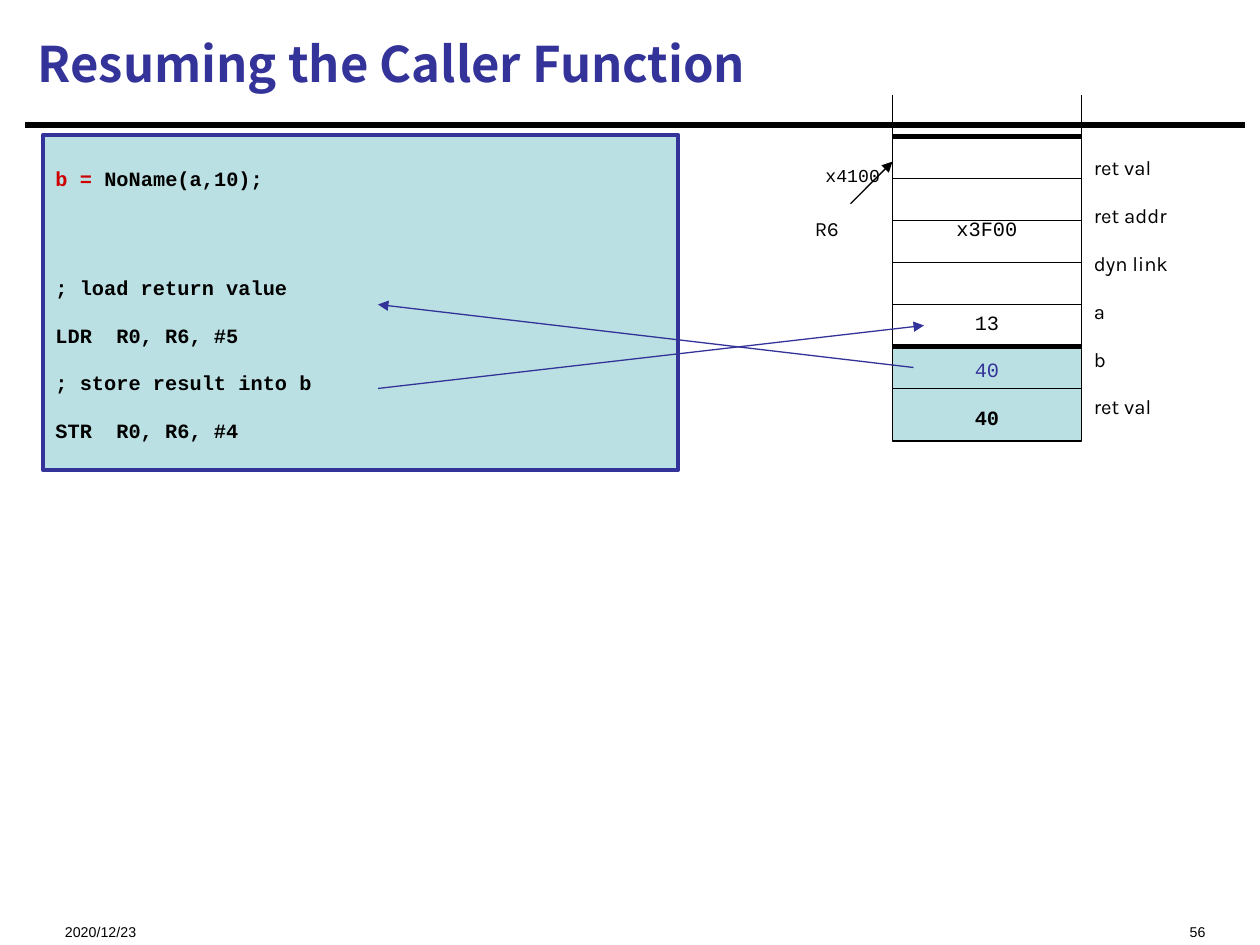
"""Build the slide on resuming the caller function after a call."""
from pptx import Presentation
from pptx.dml.color import RGBColor
from pptx.enum.shapes import MSO_CONNECTOR, MSO_SHAPE
from pptx.enum.text import MSO_ANCHOR, PP_ALIGN
from pptx.oxml.ns import qn
from pptx.util import Inches, Pt
from lxml.etree import SubElement

THEME = {
    "black": RGBColor(0, 0, 0), "blue": RGBColor(0x33, 0x33, 0x99),
    "red": RGBColor(0xCE, 0, 0), "pale": RGBColor(0xBB, 0xE0, 0xE3),
    "code": "Courier New", "label": "Karla", "footer": "Arial", "title": "Noto Sans CJK SC",
    "title size": 28, "text size": 20, "address size": 18, "footer size": 14,
    "baseline": "-25000",
}
BLACK, BLUE, RED = THEME["black"], THEME["blue"], THEME["red"]
COLUMNS = 120

presentation = Presentation()
presentation.slide_width, presentation.slide_height = Inches(10), Inches(7.5)
CELL = presentation.slide_width / COLUMNS
slide = presentation.slides.add_slide(presentation.slide_layouts[5])


def add_line(start, end, color=BLACK, width=0.75, arrow=False):
    """Draw a straight line between two grid points."""
    points = [round(value * CELL) for value in (*start, *end)]
    line = slide.shapes.add_connector(MSO_CONNECTOR.STRAIGHT, *points)
    line.line.color.rgb, line.line.width = color, Pt(width)
    if arrow:
        SubElement(line.line._get_or_add_ln(), qn("a:tailEnd"), type="triangle")
    SubElement(line._element.spPr, qn("a:effectLst"))


def write(shape, lines, font, size, align=PP_ALIGN.LEFT):
    """Fill a shape with lines, each a space before and its runs."""
    frame = shape.text_frame
    frame.word_wrap, frame.vertical_anchor = True, MSO_ANCHOR.TOP
    for index, (space, runs) in enumerate(lines):
        paragraph = frame.paragraphs[0] if index == 0 else frame.add_paragraph()
        paragraph.alignment, paragraph.space_before = align, Pt(space)
        for text, color, bold in runs:
            run = paragraph.add_run()
            run.text = text
            run.font.color.rgb = color
            for name, value in {"name": font, "size": Pt(size), "bold": bold}.items():
                setattr(run.font, name, value)
            run.font._element.set("baseline", THEME["baseline"])


add_line((2.4, 11.9), (118.6, 11.9), width=3.75)

rectangles = []
for area, color, width in [((85, 33, 18, 9), BLACK, 0.75), ((4.1, 12.85, 60.5, 31.9), BLUE, 2.25)]:
    rectangle = slide.shapes.add_shape(MSO_SHAPE.RECTANGLE, *(round(value * CELL) for value in area))
    rectangle.shadow.inherit = False
    rectangle.fill.solid()
    rectangle.fill.fore_color.rgb = THEME["pale"]
    rectangle.line.color.rgb, rectangle.line.width = color, Pt(width)
    rectangles.append(rectangle)
code_box = rectangles[1]
code_box.text_frame.margin_top = Inches(0.06)
instructions = ["; load return value", "LDR  R0, R6, #5", "; store result into b", "STR  R0, R6, #4"]
code_lines = [(0, [("b = ", RED, True), ("NoName(a,10);", BLACK, True)])]
code_lines += [(0 if index else 35, [(text, BLACK, True)]) for index, text in enumerate(instructions)]
write(code_box, code_lines, THEME["code"], THEME["text size"])

title = slide.shapes.title
for name, value in {"left": 2.4, "top": 1, "width": 116, "height": 10}.items():
    setattr(title, name, round(value * CELL))
title.text_frame.text = "Resuming the Caller Function"
title.text_frame.vertical_anchor = MSO_ANCHOR.MIDDLE
title_paragraph = title.text_frame.paragraphs[0]
title_paragraph.alignment = PP_ALIGN.LEFT
title_font = title_paragraph.runs[0].font
title_font.color.rgb = BLUE
for name, value in {"name": THEME["title"], "size": Pt(THEME["title size"]), "bold": True}.items():
    setattr(title_font, name, value)

for row in range(6):
    height = 13 + 4 * row
    add_line((85, height), (103, height), width=3 if row in (0, 5) else 0.75)
add_line((85, 37), (103, 37))

stack_labels = [(0, [(text, BLACK, False)])
                for text in ("ret val", "ret addr", "dyn link", "a", "b", "ret val")]
stack_values = [(0, [("x3F00", BLACK, False)]), (26, [("13", BLACK, False)]),
                (0, [("40", BLUE, False)]), (0, [("40", BLACK, True)])]
text_boxes = [
    ((5, 85.8, 30, 3.2), [(0, [("2020/12/23", BLACK, False)])], "footer", "footer size", PP_ALIGN.LEFT),
    ((80, 85.8, 36, 3.2), [(0, [("56", BLACK, False)])], "footer", "footer size", PP_ALIGN.RIGHT),
    ((103, 12, 14, 25.2), stack_labels, "label", "text size", PP_ALIGN.LEFT),
    ((85, 17.8, 18, 20.4), stack_values, "code", "text size", PP_ALIGN.CENTER),
    ((73.6, 13, 11.4, 4.8), [(0, [("x4100", BLACK, False)])], "code", "address size", PP_ALIGN.RIGHT),
    ((75.4, 17.8, 6.7, 5.2), [(0, [("R6", BLACK, False)])], "label", "text size", PP_ALIGN.CENTER),
]
for area, lines, font, size, align in text_boxes:
    text_box = slide.shapes.add_textbox(*(round(value * CELL) for value in area))
    write(text_box, lines, THEME[font], THEME[size], align)

add_line((81, 19.4), (85, 15.4), arrow=True)
for side in (85, 103):
    add_line((side, 9), (side, 42))
add_line((87, 35), (36, 29), BLUE, arrow=True)
add_line((36, 37), (88, 31), BLUE, arrow=True)

presentation.save("out.pptx")
